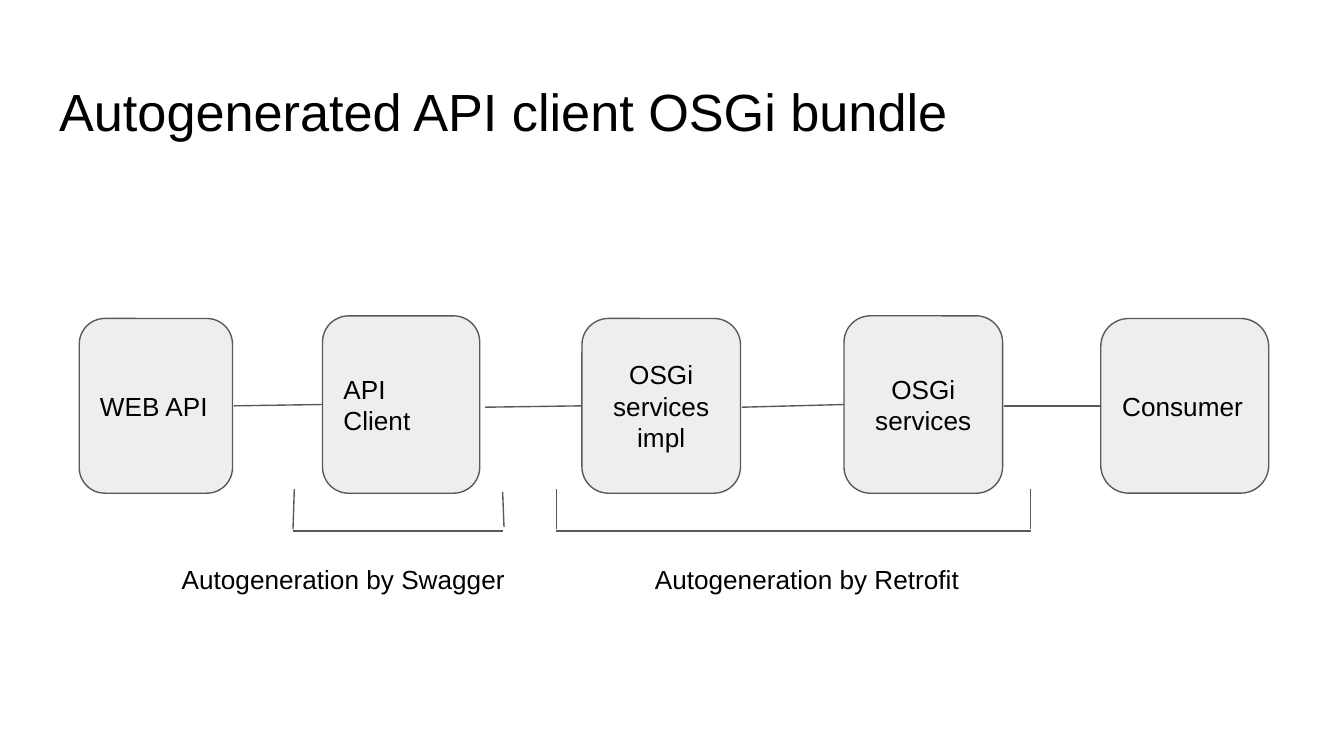
from lxml.etree import SubElement
from pptx import Presentation
from pptx.dml.color import RGBColor
from pptx.enum.shapes import MSO_CONNECTOR, MSO_SHAPE
from pptx.enum.text import MSO_ANCHOR, MSO_AUTO_SIZE, PP_ALIGN
from pptx.oxml.ns import qn
from pptx.util import Inches, Pt

BLACK = RGBColor(0x00, 0x00, 0x00)
BOX_FILL = RGBColor(0xEE, 0xEE, 0xEE)
LINE_GRAY = RGBColor(0x59, 0x59, 0x59)

STAGES = [
    ("WEB API", 0.59, 2.37, 1.14, PP_ALIGN.LEFT),
    ("API Client", 2.4, 2.35, 1.17, PP_ALIGN.LEFT),
    ("OSGi services impl", 4.33, 2.37, 1.18, PP_ALIGN.CENTER),
    ("OSGi services", 6.28, 2.35, 1.18, PP_ALIGN.CENTER),
    ("Consumer", 8.19, 2.37, 1.25, PP_ALIGN.LEFT),
]
STAGE_BOTTOM = 3.67
LINKS = [
    ((1.74, 3.02), (2.4, 3.01)),
    ((3.61, 3.03), (4.33, 3.02)),
    ((5.52, 3.03), (6.28, 3.01)),
    ((7.47, 3.02), (8.19, 3.02)),
]
BRACKETS = [
    [((2.18, 3.95), (3.74, 3.95)), ((2.18, 3.94), (2.19, 3.64)), ((3.75, 3.92), (3.74, 3.66))],
    [((4.14, 3.95), (7.67, 3.95)), ((4.14, 3.94), (4.14, 3.64)), ((7.67, 3.94), (7.67, 3.64))],
]
CAPTIONS = [("Autogeneration by Swagger", 1.15), ("Autogeneration by Retrofit", 4.6)]


def write_text(shape, text, size=14, align=PP_ALIGN.LEFT, anchor=MSO_ANCHOR.TOP):
    """Fill a shape with one formatted paragraph."""
    frame = shape.text_frame
    frame.text = text
    frame.word_wrap = True
    frame.auto_size = MSO_AUTO_SIZE.NONE
    frame.vertical_anchor = anchor
    frame.margin_left = frame.margin_right = Inches(0.1)
    frame.margin_top = frame.margin_bottom = Inches(0.1)
    paragraph = frame.paragraphs[0]
    paragraph.alignment = align
    font = paragraph.runs[0].font
    font.name = "Arial"
    font.size = Pt(size)
    font.color.rgb = BLACK


def add_title(slide, text):
    """Place and format the title placeholder."""
    title = slide.shapes.title
    title.left, title.top = Inches(0.34), Inches(0.49)
    title.width, title.height = Inches(9.32), Inches(0.63)
    write_text(title, text, size=28)


def add_stage(slide, text, left, top, width, align):
    """Add a rounded box for one stage of the chain."""
    shape = slide.shapes.add_shape(
        MSO_SHAPE.ROUNDED_RECTANGLE,
        Inches(left), Inches(top), Inches(width), Inches(STAGE_BOTTOM - top),
    )
    shape.shadow.inherit = False
    shape.fill.solid()
    shape.fill.fore_color.rgb = BOX_FILL
    shape.line.color.rgb = LINE_GRAY
    shape.line.width = Pt(0.75)
    write_text(shape, text, align=align, anchor=MSO_ANCHOR.MIDDLE)


def add_line(slide, start, end):
    """Add a thin straight connector between two points."""
    points = [Inches(value) for value in (*start, *end)]
    connector = slide.shapes.add_connector(MSO_CONNECTOR.STRAIGHT, *points)
    connector.line.color.rgb = LINE_GRAY
    connector.line.width = Pt(0.75)
    SubElement(connector._element.spPr, qn("a:effectLst"))


def add_caption(slide, text, left):
    """Add a centred caption below a bracket."""
    box = slide.shapes.add_textbox(Inches(left), Inches(4.09), Inches(2.81), Inches(0.49))
    write_text(box, text, align=PP_ALIGN.CENTER)


def main():
    """Build and save the widescreen slide."""
    presentation = Presentation()
    presentation.slide_width = Inches(10)
    presentation.slide_height = Inches(10) * 9 // 16
    slide = presentation.slides.add_slide(presentation.slide_layouts[5])
    add_title(slide, "Autogenerated API client OSGi bundle")
    for stage in STAGES:
        add_stage(slide, *stage)
    for start, end in LINKS:
        add_line(slide, start, end)
    for bracket, caption in zip(BRACKETS, CAPTIONS):
        for start, end in bracket:
            add_line(slide, start, end)
        add_caption(slide, *caption)
    presentation.save("out.pptx")


if __name__ == "__main__":
    main()
